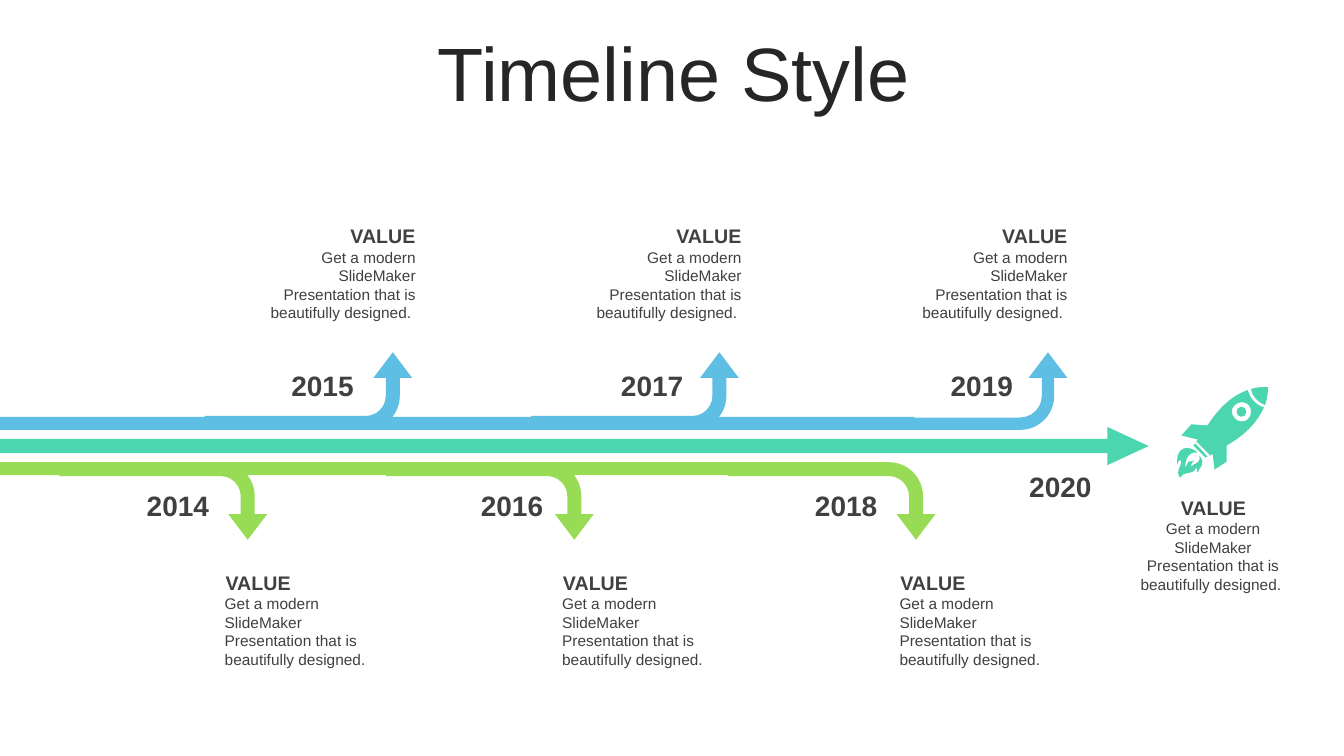
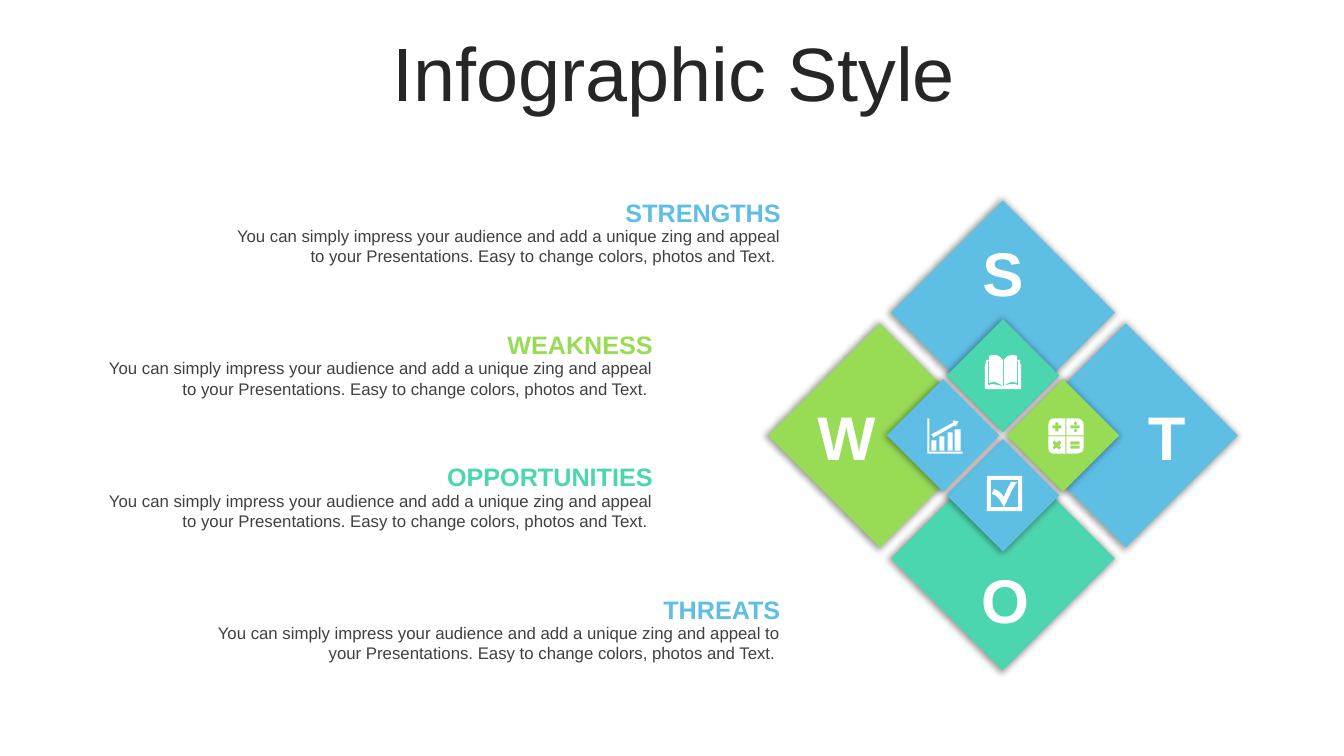
from lxml.etree import SubElement
from pptx import Presentation
from pptx.dml.color import RGBColor
from pptx.enum.shapes import MSO_SHAPE as Shape
from pptx.enum.text import MSO_ANCHOR as Anchor, PP_ALIGN as Align
from pptx.oxml.ns import qn
from pptx.util import Inches, Pt

COLORS = {
    "blue": "5EBEE4",
    "teal": "4CD6B0",
    "green": "98DC56",
    "title": "262626",
    "body": "404040",
    "white": "FFFFFF",
    "shadow": "000000",
}
CELL = Inches(0.1)
COLUMNS, ROWS = 133.33, 75


def box(left, top, right, bottom):
    return f"{left} {top} {right} {top} {right} {bottom} {left} {bottom}"


def dot(x, top):
    return f"{x} {top} C {x - 2} {top} {x - 2} {top + 4} {x} {top + 4} {x + 2} {top + 4} {x + 2} {top} {x} {top}"


ROCKET = (
    "20 65 C 15 63 7 69 8 80 L 11 74 C 14 74 17 73 17 73 16 74 13 75 14 79 17 74 23 78 22 68 "
    "29 77 22 79 20 85 19 83 20 78 19 80 14 89 7 82 3 90 -3 83 5 78 4 73 "
    "3 72 1 72 0 77 -2 57 13 58 20 65",
    "18 56 30 69 C 29 69 28 70 28 70 L 16 58",
    "67 21 C 69 23 69 26 67 28 65 30 62 30 60 28 58 26 59 23 60 21 62 19 65 19 67 21",
    "71 18 C 67 14 61 14 57 18 53 21 53 27 57 31 60 35 67 35 70 32 74 28 74 22 71 18",
    "70 3 C 72 11 78 18 86 20 78 38 63 50 49 58 L 49 74 37 82 35 66 33 68 19 54 "
    "C 20 53 20 52 20 52 L 4 48 14 37 29 38 30 38 C 39 24 52 9 70 3",
    "90 0 C 90 6 89 12 87 18 80 15 74 9 73 2 78 0 84 0 90 0",
)
BAR_CHART = (
    box(4, 22, 9, 32),
    box(12, 18, 17, 32),
    box(20, 14, 25, 32),
    box(27, 11, 33, 32),
    "25 2 31 3 28 8 27 7 6 19 4 16 26 4",
    "0 0 2 0 2 33 35 33 35 35 0 35",
)
CALCULATOR = (
    "0 6 C 0 3 2 0 6 0 L 17 0 17 17 0 17",
    "18 0 29 0 C 32 0 35 3 35 6 L 35 17 18 17",
    "18 18 35 18 35 29 C 35 33 32 35 29 35 L 18 35",
    "0 18 17 18 17 35 6 35 C 2 35 0 33 0 29",
    "7 4 7 7 4 7 4 10 7 10 7 13 10 13 10 10 13 10 13 7 10 7 10 4",
    "6 22 4 24 6 27 4 29 6 31 8 29 11 31 13 29 11 27 13 24 11 22 8 24",
    dot(27, 3),
    box(22, 7, 31, 10),
    dot(27, 10),
    box(22, 23, 31, 26),
    box(22, 27, 31, 30),
)
BOOK = (
    "18 31 C 18 31 19 31 19 31 24 29 27 28 33 30 L 33 6 32 6 32 28 "
    "C 28 26 23 27 19 31 L 19 5 C 21 2 24 0 27 0 28 0 30 1 32 1 "
    "L 32 5 35 5 35 9 36 9 36 34 0 34 0 9 1 9 1 5 4 5 4 1 "
    "C 6 1 8 0 9 0 13 0 15 2 18 5 L 18 31 C 13 27 8 26 4 28 L 4 6 3 6 3 30 "
    "C 9 28 12 30 18 31",
)
CHECKBOX = (
    box(0, 0, 35, 35),
    "4 4 4 31 17 31 C 14 26 11 19 5 18 L 7 13 C 12 15 14 17 17 21 "
    "19 15 21 12 24 6 L 30 6 C 25 13 21 23 17 31 L 31 31 31 4",
)


def trace(contour):
    points, roles, curved, numbers = [], [], False, []
    for token in contour.split():
        if token in ("L", "C"):
            curved = token == "C"
            continue
        numbers.append(int(token))
        if len(numbers) == (6 if curved else 2):
            points += zip(numbers[::2], numbers[1::2])
            roles += ["curve", "join", "join"] if curved else ["line"]
            numbers = []
    return points, roles


def bend(outline, roles):
    nodes = [node for node in outline if node.tag != qn("a:close")]
    curve = None
    for node, role in zip(nodes, roles):
        if role == "curve":
            curve = node
            curve.tag = qn("a:cubicBezTo")
        elif role == "join":
            curve.append(node[0])
            outline.remove(node)


def cells(*lengths):
    return [round(length * CELL) for length in lengths]


class Deck:
    font = "Arial"

    def __init__(self):
        self.prs = Presentation()
        self.prs.slide_width, self.prs.slide_height = cells(COLUMNS, ROWS)
        self.slide = None

    def new_slide(self, title):
        self.slide = self.prs.slides.add_slide(self.prs.slide_layouts[6])
        self.text(title, 3.5, 3.7, 126.7, 7.9, size=54, color="title",
                  align=Align.CENTER, anchor=Anchor.MIDDLE, line_spacing=0.9)

    def text(self, text, left, top, width, height, size=11, color="body", bold=False,
             align=Align.LEFT, anchor=Anchor.TOP, line_spacing=None, inset=True):
        area = self.slide.shapes.add_textbox(*cells(left, top, width, height))
        frame = area.text_frame
        frame.word_wrap = True
        frame.vertical_anchor = anchor
        if not inset:
            frame.margin_left = frame.margin_right = 0
            frame.margin_top = frame.margin_bottom = 0
        paragraph = frame.paragraphs[0]
        paragraph.alignment = align
        paragraph.line_spacing = line_spacing
        run = paragraph.add_run()
        run.text = text
        run.font.name, run.font.size, run.font.bold = self.font, Pt(size), bold
        run.font.color.rgb = RGBColor.from_string(COLORS[color])

    def paint(self, shape, color):
        shape.fill.solid()
        shape.fill.fore_color.rgb = RGBColor.from_string(COLORS[color])
        shape.line.fill.background()
        shape.shadow.inherit = False

    def shape(self, kind, x, y, width, height, color, rotation=0):
        shape = self.slide.shapes.add_shape(
            kind, *cells(x - width / 2, y - height / 2, width, height))
        shape.rotation = rotation
        self.paint(shape, color)
        return shape

    def band(self, length, y, height, color):
        self.shape(Shape.RECTANGLE, length / 2, y, length, height, color)

    def branch(self, x, y, color, upward, thickness=0.18):
        arrow = self.shape(Shape.BENT_ARROW, x, y, 7.7, 20.6, color, 90)
        for index, value in enumerate((thickness, 0.25, 0.33, 0.44)):
            arrow.adjustments[index] = value
        if upward:
            arrow._element.spPr.find(qn("a:xfrm")).set("flipH", "1")

    def diamond(self, x, y, side, color):
        tile = self.shape(Shape.RECTANGLE, x, y, side, side, color, 45)
        effects = tile._element.spPr.find(qn("a:effectLst"))
        glow = SubElement(effects, qn("a:outerShdw"), blurRad=str(Pt(5)),
                          sx="102000", sy="102000", algn="ctr", rotWithShape="0")
        tint = SubElement(glow, qn("a:srgbClr"), val=COLORS["shadow"])
        SubElement(tint, qn("a:alpha"), val="40000")

    def icon(self, contours, left, top, color="white"):
        builder, all_roles = None, []
        for points, roles in map(trace, contours):
            if builder is None:
                builder = self.slide.shapes.build_freeform(*points[0], scale=CELL / 10)
            else:
                builder.move_to(*points[0])
            builder.add_line_segments(points[1:], close=True)
            all_roles += roles
        glyph = builder.convert_to_shape(*cells(left, top))
        bend(next(glyph._element.iter(qn("a:path"))), all_roles)
        self.paint(glyph, color)

    def caption(self, left, top, align):
        tail = "" if align == Align.LEFT else " "
        self.text("Get a modern SlideMaker Presentation that is beautifully designed." + tail,
                  left, top + 2.35, 16.7, 7.4, align=align, inset=False)
        self.text("VALUE", left + 0.08, top, 16.6, 2.4, size=14, bold=True,
                  align=align, inset=False)

    def year(self, year, left, top):
        self.text(str(year), left, top, 9.3, 4.4, size=20, bold=True, align=Align.CENTER)

    def factor(self, heading, left, top, width, color):
        self.text(heading, left, top, width, 3, size=18, color=color, bold=True, align=Align.RIGHT)
        self.text("You can simply impress your audience and add a unique zing and appeal "
                  "to your Presentations. Easy to change colors, photos and Text. ",
                  left, top + 2.87, width, 5, size=12, align=Align.RIGHT)


def timeline(deck):
    deck.new_slide("Timeline Style")
    deck.band(111.5, 44.25, 1.4, "teal")
    deck.shape(Shape.FLOWCHART_EXTRACT, 111.9, 44.25, 3.8, 4.1, "teal", 90)
    deck.band(90.7, 42, 1.3, "blue")
    deck.band(76.6, 46.5, 1.3, "green")
    stops = ((30.6, 16.2, 0.18), (63, 48.6, 0.18), (95.6, 82.5, 0.16))
    for index, (upper_x, lower_x, upper_thickness) in enumerate(stops):
        deck.branch(upper_x, 38.8, "blue", upward=True, thickness=upper_thickness)
        deck.branch(lower_x, 49.7, "green", upward=False)
        deck.caption(24.55 + 32.33 * index, 22.25, Align.RIGHT)
        deck.caption(22.3 + 33.47 * index, 56.6, Align.LEFT)
        deck.year(2014 + 2 * index, 13 + 33.15 * index, 48)
        deck.year(2015 + 2 * index, 27.35 + 32.7 * index, 36.05)
    deck.year(2020, 100.55, 46.1)
    deck.icon(ROCKET, 116.8, 38.4, "teal")
    deck.caption(112, 49.2, Align.CENTER)


def swot(deck):
    deck.new_slide("Infographic Style")
    center_x, center_y = 99.5, 43.2
    petals = (
        ("S", 0, -1, "blue", "teal"),
        ("T", 1, 0, "blue", "green"),
        ("O", 0, 1, "teal", "blue"),
        ("W", -1, 0, "green", "blue"),
    )
    for _, dx, dy, outer, _ in petals:
        deck.diamond(center_x + 12.2 * dx, center_y + 12.2 * dy, 15.7, outer)
    for letter, dx, dy, _, inner in petals:
        deck.diamond(center_x + 5.95 * dx, center_y + 5.95 * dy, 7.9, inner)
        deck.text(letter, center_x + 16.25 * dx - 3.15, center_y + 16.25 * dy - 4.2, 6.3, 8.4,
                  size=44, color="white", bold=True, align=Align.CENTER, anchor=Anchor.MIDDLE)
    factors = (
        ("STRENGTHS", 21.05, 57.4, "blue"),
        ("WEAKNESS", 8.35, 57.4, "green"),
        ("OPPORTUNITIES", 8.35, 57.4, "teal"),
        ("THREATS", 20.6, 57.8, "blue"),
    )
    for index, (heading, left, width, color) in enumerate(factors):
        deck.factor(heading, left, 19.04 + 13.13 * index, width, color)
    deck.icon(BAR_CHART, 92, 41.5)
    deck.icon(CALCULATOR, 104, 41.5)
    deck.icon(BOOK, 97.7, 35.2)
    deck.icon(CHECKBOX, 97.9, 47.2)


def main():
    deck = Deck()
    timeline(deck)
    swot(deck)
    deck.prs.save("out.pptx")


if __name__ == "__main__":
    main()
